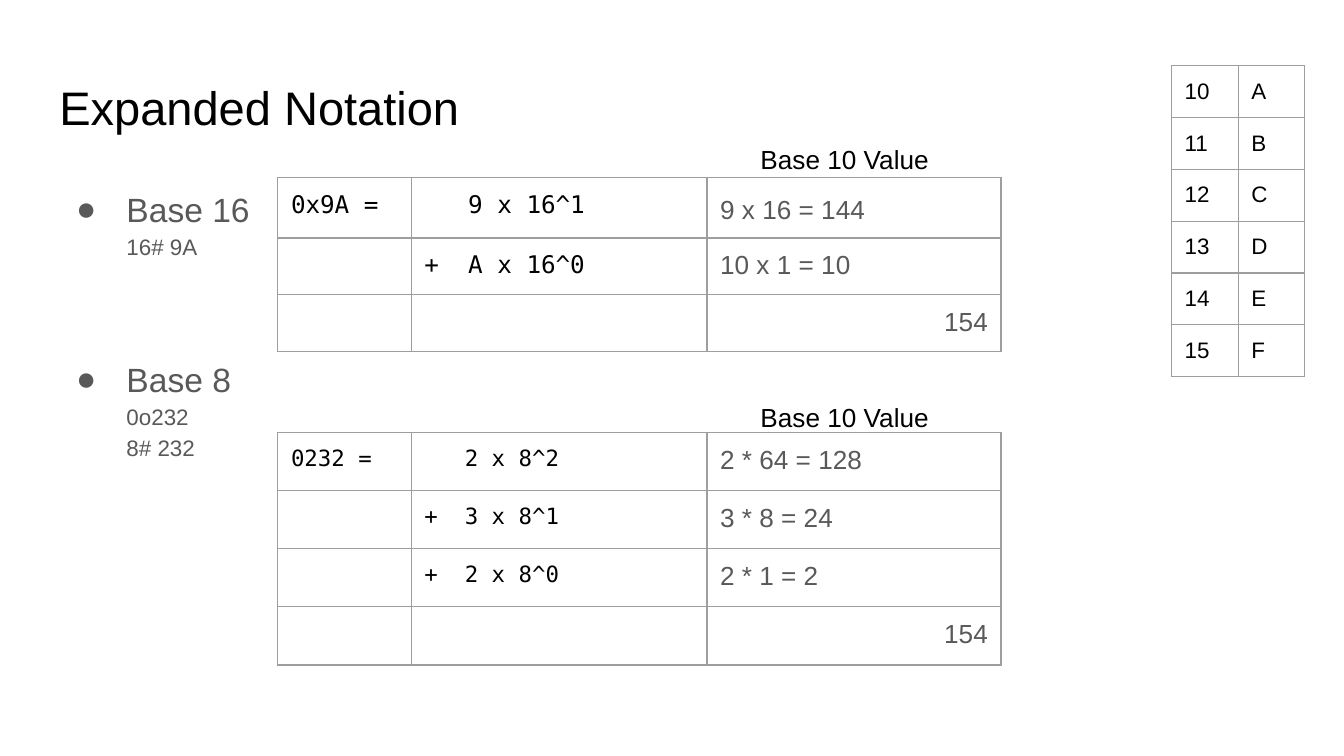
"""Build the slide on expanded notation in base 16 and base 8."""
import lxml.etree
import pptx
import pptx.dml.color
import pptx.enum.text
import pptx.oxml.ns
import pptx.util

Cm, Pt = pptx.util.Cm, pptx.util.Pt
qn = pptx.oxml.ns.qn
ALIGN = pptx.enum.text.PP_ALIGN

TITLE = "Expanded Notation"
BASES = [("Base 16", ["16# 9A"]), ("Base 8", ["0o232", "8# 232"])]
VALUE_LABEL = "Base 10 Value"
EXPANSIONS = [
    {
        "top": 3.36, "label_top": 2.46, "heights": [1.14, 1.07, 1.07],
        "code_size": 13, "first_spacing": 1.15,
        "rows": [
            ("0x9A =", "9 x 16^1", "9 x 16 = 144"),
            ("", "+\tA x 16^0", "10 x 1 = 10"),
            ("", "", "154"),
        ],
    },
    {
        "top": 8.17, "label_top": 7.34, "heights": [1.1] * 4,
        "code_size": 12, "first_spacing": 1.0,
        "rows": [
            ("0232 =", "2 x 8^2", "2 * 64 = 128"),
            ("", "+\t3 x 8^1", "3 * 8 = 24"),
            ("", "+\t2 x 8^0", "2 * 1 = 2"),
            ("", "", "154"),
        ],
    },
]
DIGITS = [(str(10 + place), letter) for place, letter in enumerate("ABCDEF")]

THEME = {
    "sans": "Arial", "mono": "DejaVu Sans Mono",
    "ink": "000000", "muted": "595959", "border": "9E9E9E",
    "title": 25.2, "base": 18, "value": 14, "small": 12,
    "border_width": 0.75, "inset": 0.25, "mono_advance": 0.602,
}


def add_text(para, text, size, color="ink", font="sans"):
    span = para.add_run()
    span.text = text
    span.font.name = THEME[font]
    span.font.size = Pt(size)
    span.font.color.rgb = pptx.dml.color.RGBColor.from_string(THEME[color])


def frame_of(shape):
    frame = shape.text_frame
    frame.word_wrap = True
    frame.auto_size = pptx.enum.text.MSO_AUTO_SIZE.NONE
    frame.vertical_anchor = pptx.enum.text.MSO_ANCHOR.TOP
    for side in ("left", "top", "right", "bottom"):
        setattr(frame, f"margin_{side}", Cm(THEME["inset"]))
    return frame


def place(shape, left, top, width, height):
    shape.left, shape.top = Cm(left), Cm(top)
    shape.width, shape.height = Cm(width), Cm(height)


def set_indent(para, left, first):
    properties = para._p.get_or_add_pPr()
    properties.set("marL", str(Cm(left)))
    properties.set("indent", str(Cm(first)))
    return properties


def add_color(parent, tag, color):
    holder = lxml.etree.SubElement(parent, qn(tag))
    lxml.etree.SubElement(holder, qn("a:srgbClr"), val=THEME[color])


def add_grid(slide, left, top, widths, heights):
    table = slide.shapes.add_table(
        len(heights), len(widths), Cm(left), Cm(top), Cm(sum(widths)), Cm(sum(heights))
    ).table
    table.first_row = table.horz_banding = False
    for column, width in zip(table.columns, widths):
        column.width = Cm(width)
    for row, height in zip(table.rows, heights):
        row.height = Cm(height)
    for cell in table.iter_cells():
        for side in ("left", "top", "right", "bottom"):
            setattr(cell, f"margin_{side}", Cm(THEME["inset"]))
        properties = cell._tc.get_or_add_tcPr()
        for edge in ("a:lnL", "a:lnR", "a:lnT", "a:lnB"):
            line = lxml.etree.SubElement(properties, qn(edge), w=str(Pt(THEME["border_width"])))
            add_color(line, "a:solidFill", "border")
        cell.fill.background()
    return table


def fill_cell(cell, text, size, color="ink", font="sans"):
    para = cell.text_frame.paragraphs[0]
    if text:
        add_text(para, text, size, color, font)
    else:
        lxml.etree.SubElement(para._p, qn("a:endParaRPr"), sz=str(size * 100))
    return para


def add_bases(body):
    frame = frame_of(body)
    for index, (name, notations) in enumerate(BASES):
        para = frame.paragraphs[0] if index == 0 else frame.add_paragraph()
        para.line_spacing = 1.15
        para.space_before = Pt(50 * index)
        properties = set_indent(para, 1.27, -0.95)
        add_color(properties, "a:buClr", "muted")
        lxml.etree.SubElement(properties, qn("a:buFont"), typeface=THEME["sans"])
        lxml.etree.SubElement(properties, qn("a:buChar"), char="●")
        add_text(para, name, THEME["base"], "muted")
        for notation in notations:
            para.add_line_break()
            add_text(para, notation, THEME["small"], "muted")


def add_expansion(slide, expansion):
    rows, size = expansion["rows"], expansion["code_size"]
    table = add_grid(slide, 5.25, expansion["top"], [2.52, 5.59, 5.56], expansion["heights"])
    hanging = Pt(3 * THEME["mono_advance"] * size).cm
    for index, (number, term, value) in enumerate(rows):
        fill_cell(table.cell(index, 0), number, size, font="mono")
        para = fill_cell(table.cell(index, 1), term, size, font="mono")
        if term:
            set_indent(para, hanging, -hanging if "\t" in term else 0)
        para = fill_cell(table.cell(index, 2), value, THEME["value"], "muted")
        if index == 0:
            para.line_spacing = expansion["first_spacing"]
        if index == len(rows) - 1:
            para.alignment = ALIGN.RIGHT

    label = slide.shapes.add_textbox(Cm(14.02), Cm(expansion["label_top"]), Cm(3.89), Cm(1.12))
    para = frame_of(label).paragraphs[0]
    para.alignment = ALIGN.CENTER
    add_text(para, VALUE_LABEL, THEME["value"])


def main():
    deck = pptx.Presentation()
    deck.slide_width, deck.slide_height = Cm(25.4), Cm(14.29)
    slide = deck.slides.add_slide(deck.slide_layouts[1])

    title, body = slide.shapes.title, slide.placeholders[1]
    place(title, 0.87, 1.24, 23.67, 1.59)
    para = frame_of(title).paragraphs[0]
    para.alignment = ALIGN.LEFT
    add_text(para, TITLE, THEME["title"])
    place(body, 0.87, 3.2, 23.67, 9.49)
    add_bases(body)

    for expansion in EXPANSIONS:
        add_expansion(slide, expansion)

    digits = add_grid(slide, 22.14, 1.24, [1.26] * 2, [0.98] * len(DIGITS))
    for row, pair in enumerate(DIGITS):
        for column, text in enumerate(pair):
            fill_cell(digits.cell(row, column), text, THEME["small"])

    deck.save("out.pptx")


if __name__ == "__main__":
    main()
